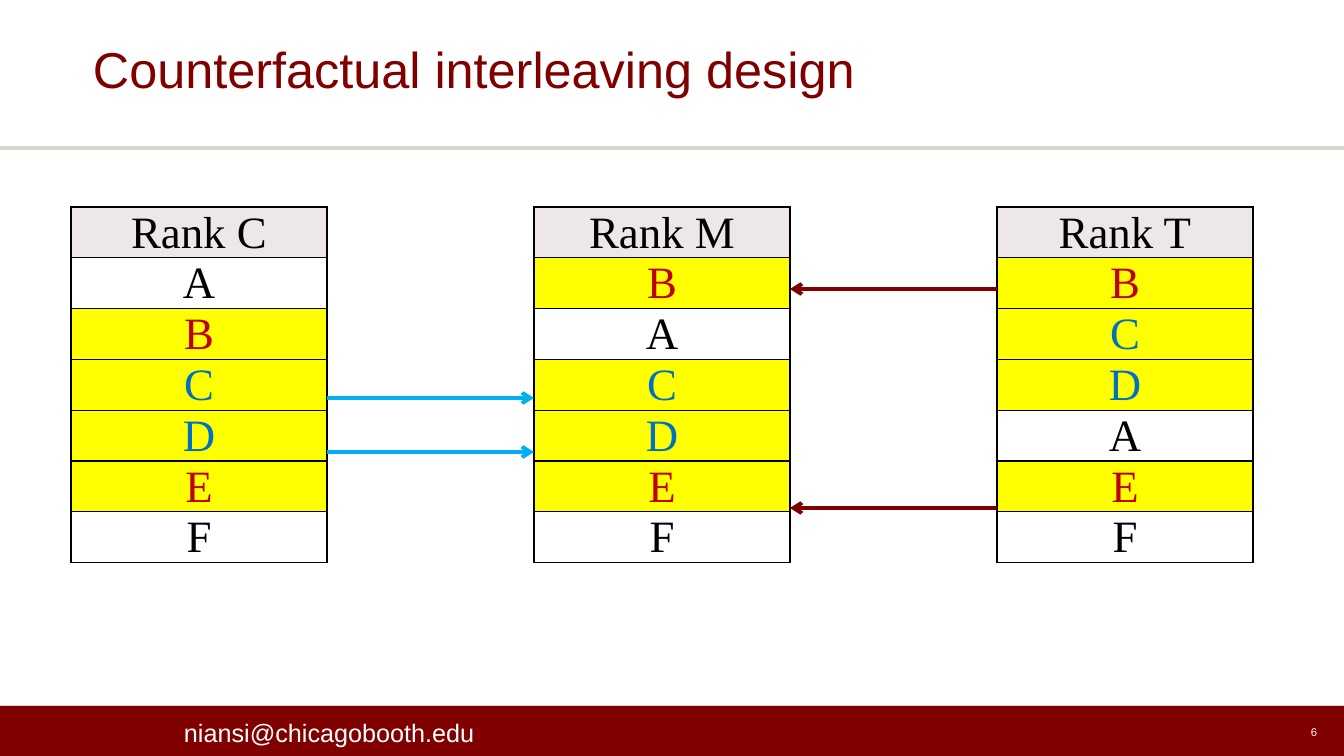
from lxml import etree
from pptx import Presentation
from pptx.dml.color import RGBColor
from pptx.enum.shapes import MSO_CONNECTOR, MSO_SHAPE
from pptx.enum.text import MSO_ANCHOR, MSO_AUTO_SIZE, PP_ALIGN
from pptx.oxml.ns import qn
from pptx.util import Pt

STRAIGHT, RECTANGLE = MSO_CONNECTOR.STRAIGHT, MSO_SHAPE.RECTANGLE
TOP, MIDDLE, BOTTOM = MSO_ANCHOR.TOP, MSO_ANCHOR.MIDDLE, MSO_ANCHOR.BOTTOM
LEFT, CENTER, RIGHT = PP_ALIGN.LEFT, PP_ALIGN.CENTER, PP_ALIGN.RIGHT

WIDTH, HEIGHT = 1344, 756
EMU_PER_PX = 914400 / 100.8
MAROON, GREY, SKY, WHITE, BLACK = "800000", "D6D6CE", "00B0F0", "FFFFFF", "000000"
HEADER_FILL, HIGHLIGHT = "EDE7E7", "FFFF00"

TITLE = "Counterfactual interleaving design"
EMAIL = "niansi@chicagobooth.edu"
PAGE_NUMBER = "6"
RANKINGS = [("Rank C", "ABCDEF"), ("Rank M", "BACDEF"), ("Rank T", "BCDAEF")]
ITEM_COLOURS = {"B": "C00000", "E": "C00000", "C": "0070C0", "D": "0070C0"}
# from ranking, to ranking, height on the page, colour
ARROWS = [(2, 1, 289, MAROON), (2, 1, 508, MAROON), (0, 1, 398, SKY), (0, 1, 452, SKY)]

TABLE_LEFT, TABLE_TOP, TABLE_WIDTH, TABLE_STEP, ROW_HEIGHT = 71, 207, 256, 463, 50
FOOTER_TOP, RULE_Y = 706, 148


def px(length):
    return round(length * EMU_PER_PX)


def colour(value):
    return RGBColor.from_string(value)


def write(holder, text, size, tint, font="Arial", align=LEFT):
    """Put one formatted line into a text frame."""
    para = holder.paragraphs[0]
    para.alignment = align
    span = para.add_run()
    span.text = text
    for name, value in {"name": font, "size": Pt(size), "bold": False}.items():
        setattr(span.font, name, value)
    span.font.color.rgb = colour(tint)
    return para


def add_line(page, start, end, tint, weight, arrow=False):
    line = page.shapes.add_connector(STRAIGHT, *map(px, (*start, *end)))
    line.line.color.rgb = colour(tint)
    line.line.width = Pt(weight)
    if arrow:
        etree.SubElement(line.line._get_or_add_ln(), qn("a:tailEnd"), type="arrow")
    etree.SubElement(line._element.spPr, qn("a:effectLst"))


def add_label(page, area, text, size, anchor, align):
    box = page.shapes.add_textbox(*map(px, area))
    settings = {"word_wrap": True, "vertical_anchor": anchor, "auto_size": MSO_AUTO_SIZE.NONE}
    for name, value in settings.items():
        setattr(box.text_frame, name, value)
    write(box.text_frame, text, size, WHITE, align=align)


def add_borders(cell):
    properties = cell._tc.get_or_add_tcPr()
    for side in ("lnL", "lnR", "lnT", "lnB"):
        edge = etree.SubElement(properties, qn(f"a:{side}"), w=str(Pt(1)))
        fill = etree.SubElement(edge, qn("a:solidFill"))
        etree.SubElement(fill, qn("a:srgbClr"), val=BLACK)


def table_left(index):
    return TABLE_LEFT + index * TABLE_STEP


def add_ranking(page, index, heading, items):
    rows = [heading, *items]
    area = (table_left(index), TABLE_TOP, TABLE_WIDTH, ROW_HEIGHT * len(rows))
    table = page.shapes.add_table(len(rows), 1, *map(px, area)).table
    table.first_row = table.horz_banding = False
    layout = {"margin_left": px(1), "margin_right": px(1), "margin_top": px(1),
              "margin_bottom": 0, "vertical_anchor": BOTTOM}
    for row, text in enumerate(rows):
        cell = table.cell(row, 0)
        for name, value in layout.items():
            setattr(cell, name, value)
        add_borders(cell)
        body_fill = HIGHLIGHT if text in ITEM_COLOURS else WHITE
        cell.fill.solid()
        cell.fill.fore_color.rgb = colour(HEADER_FILL if row == 0 else body_fill)
        write(cell.text_frame, text, 32, ITEM_COLOURS.get(text, BLACK),
              "Times New Roman", CENTER)


def add_title(page):
    title = page.shapes.title
    for name, value in zip(("left", "top", "width", "height"), (93, 0, 1159, 145)):
        setattr(title, name, px(value))
    settings = {"margin_left": 0, "margin_right": 0, "margin_top": px(5),
                "margin_bottom": px(5), "vertical_anchor": MIDDLE, "word_wrap": True,
                "auto_size": MSO_AUTO_SIZE.NONE}
    for name, value in settings.items():
        setattr(title.text_frame, name, value)
    write(title.text_frame, TITLE, 36, MAROON).line_spacing = 0.9


def add_footer(page):
    band = page.shapes.add_shape(
        RECTANGLE, *map(px, (0, FOOTER_TOP, WIDTH, HEIGHT - FOOTER_TOP)))
    band.shadow.inherit = False
    band.fill.solid()
    band.fill.fore_color.rgb = colour(MAROON)
    band.line.fill.background()
    add_line(page, (0, FOOTER_TOP - 1), (WIDTH, FOOTER_TOP - 1), GREY, 0.5)
    add_label(page, (174, 712, 375, 40), EMAIL, 18, TOP, LEFT)
    add_label(page, (949, 712, 378, 40), PAGE_NUMBER, 8, MIDDLE, RIGHT)


def main():
    deck = Presentation()
    deck.slide_width, deck.slide_height = px(WIDTH), px(HEIGHT)
    page = deck.slides.add_slide(deck.slide_layouts[5])
    add_title(page)
    add_footer(page)
    add_line(page, (0, RULE_Y), (WIDTH, RULE_Y), GREY, 3)
    for index, (heading, items) in enumerate(RANKINGS):
        add_ranking(page, index, heading, items)
    for source, target, y, tint in ARROWS:
        start, end = table_left(source), table_left(target)
        if source < target:
            start += TABLE_WIDTH
        else:
            end += TABLE_WIDTH
        add_line(page, (start, y), (end, y), tint, 2.75, arrow=True)
    deck.save("out.pptx")


if __name__ == "__main__":
    main()
